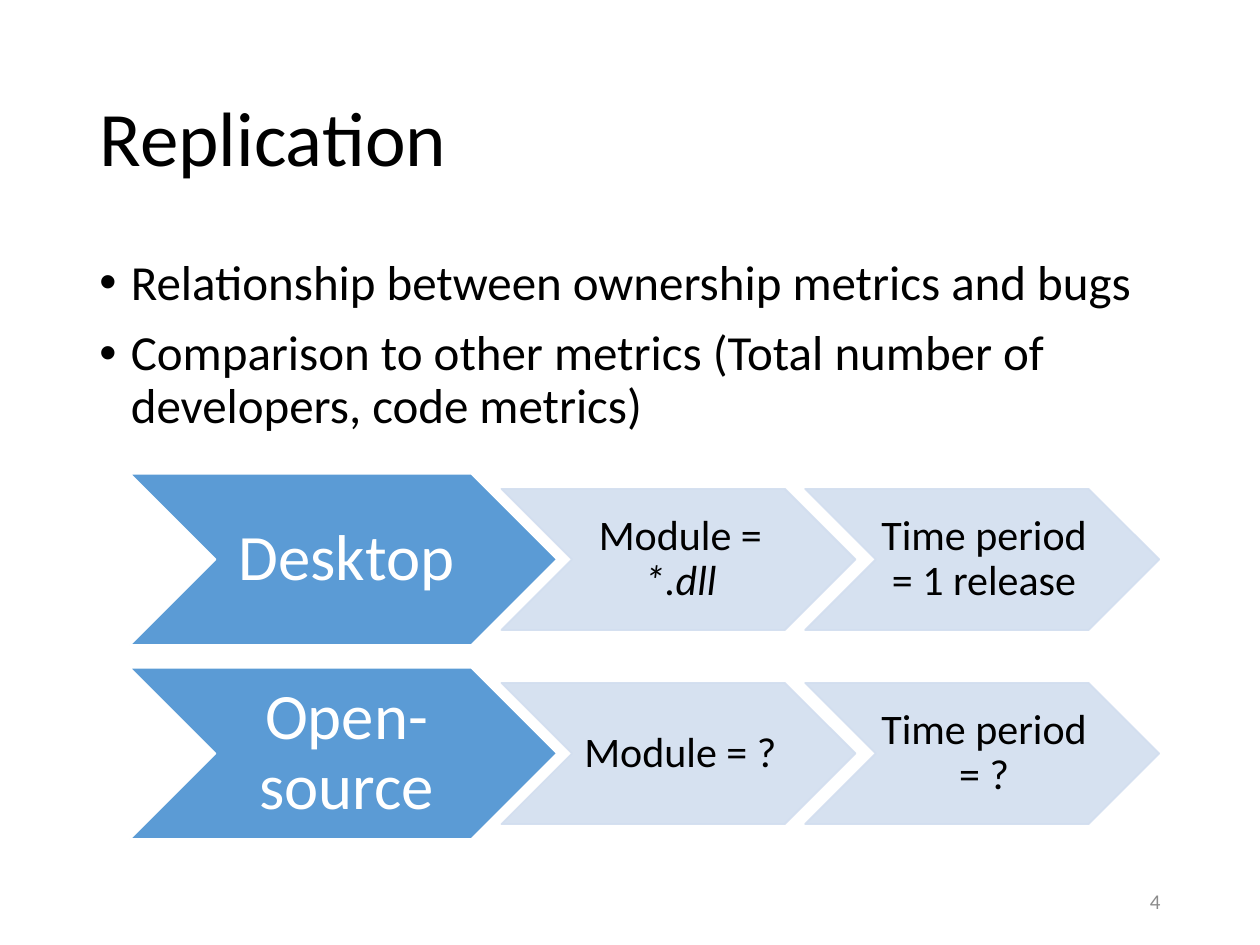
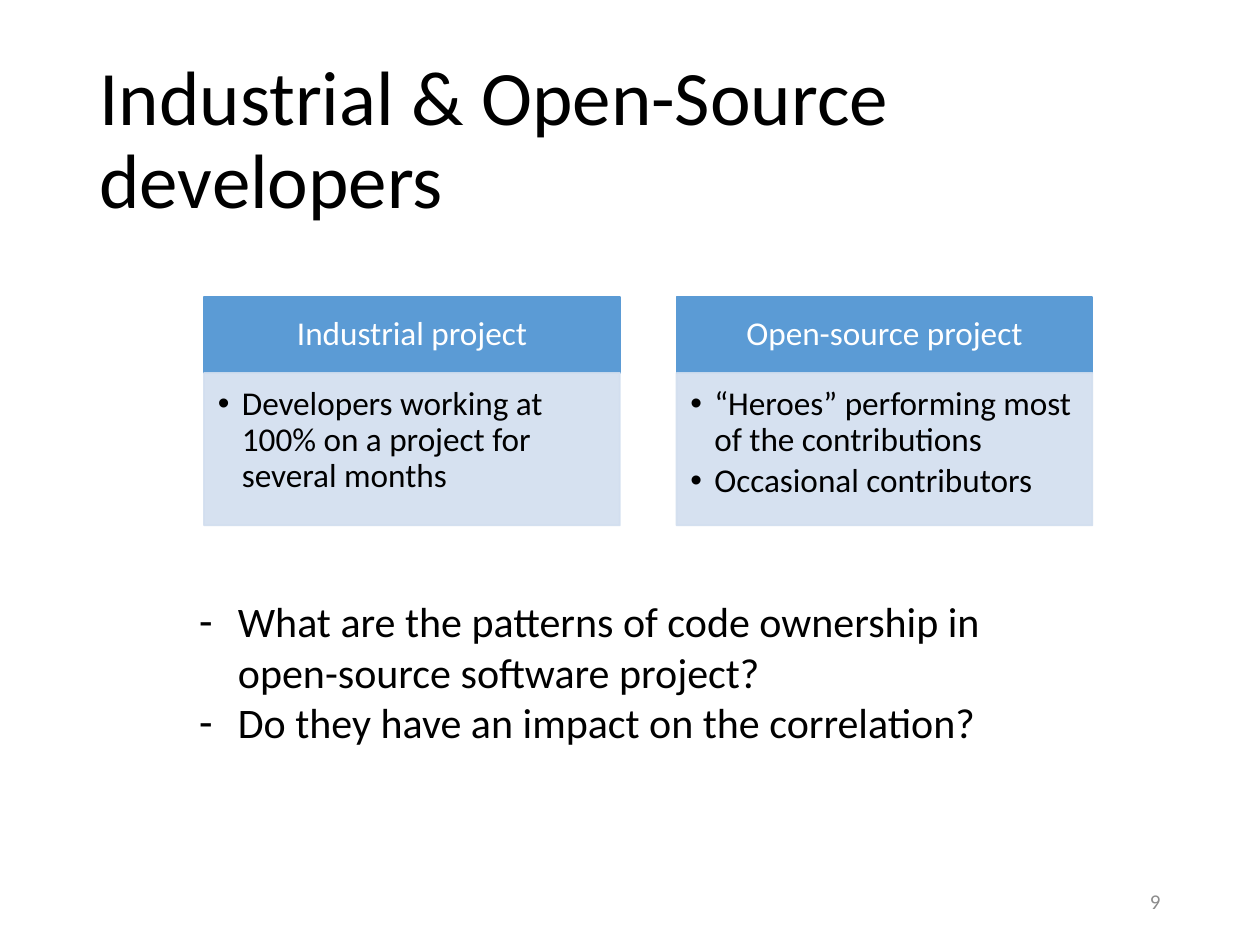
"""Builds two slides on replicating code ownership metrics in open-source projects."""
from lxml import etree
from pptx import Presentation
from pptx import util as u
from pptx.dml.color import RGBColor
from pptx.enum import shapes, text
from pptx.oxml import ns

BLACK = RGBColor(0x00, 0x00, 0x00)
WHITE = RGBColor(0xFF, 0xFF, 0xFF)
GREY = RGBColor(0x8C, 0x8C, 0x8C)
BLUE = RGBColor(0x5B, 0x9B, 0xD5)
PALE = RGBColor(0xD2, 0xDE, 0xEF)

CENTER = text.PP_ALIGN.CENTER
MIDDLE = text.MSO_ANCHOR.MIDDLE
CHEVRON = shapes.MSO_SHAPE.CHEVRON
RECTANGLE = shapes.MSO_SHAPE.RECTANGLE
DEFAULT_INSETS = (0.1, 0.05, 0.1, 0.05)


class Deck:
    """Holds the shared style and the current slide."""

    font = "Calibri"

    def __init__(self):
        self.presentation = Presentation()
        self.presentation.slide_width = u.Inches(10)
        self.presentation.slide_height = u.Inches(7.5)
        self.slide = None

    def new_slide(self, title, number):
        self.slide = self.presentation.slides.add_slide(self.presentation.slide_layouts[5])
        shape = self.slide.shapes.title
        shape.left, shape.top, shape.width, shape.height = map(u.Inches, (0.69, 0.4, 8.62, 1.45))
        self.fill_text(shape, [title], 44, spacing=0.9, anchor=MIDDLE)
        self.text_box((7.06, 6.95, 2.25, 0.4), [str(number)], 12, color=GREY,
                      align=text.PP_ALIGN.RIGHT, anchor=MIDDLE)

    def fill_text(self, shape, lines, size, color=BLACK, align=text.PP_ALIGN.LEFT,
                  anchor=text.MSO_ANCHOR.TOP, insets=DEFAULT_INSETS, spacing=1.0,
                  before=0, after=0, bullet=None, indent=0, italic_tail=""):
        left, top, right, bottom = map(u.Inches, insets)
        frame = shape.text_frame
        self.apply(frame, {"word_wrap": True, "auto_size": text.MSO_AUTO_SIZE.NONE,
                           "vertical_anchor": anchor, "margin_left": left, "margin_top": top,
                           "margin_right": right, "margin_bottom": bottom})
        for index, line in enumerate(lines):
            paragraph = frame.add_paragraph() if index else frame.paragraphs[0]
            self.apply(paragraph, {"alignment": align, "line_spacing": spacing,
                                   "space_before": u.Pt(before), "space_after": u.Pt(after)})
            for content, italic in ((line, False), (italic_tail, True)):
                if content:
                    run = paragraph.add_run()
                    run.text = content
                    self.apply(run.font, {"name": self.font, "size": u.Pt(size),
                                          "italic": italic})
                    run.font.color.rgb = color
            if bullet:
                self.add_bullet(paragraph, bullet, indent)

    def text_box(self, box, lines, size, **style):
        shape = self.slide.shapes.add_textbox(*map(u.Inches, box))
        self.fill_text(shape, lines, size, **style)

    def block(self, kind, box, lines, size, fill, outline, alpha=None, **style):
        shape = self.slide.shapes.add_shape(kind, *map(u.Inches, box))
        shape.shadow.inherit = False
        shape.line.width = u.Pt(1)
        shape.fill.solid()
        for color_format, color in ((shape.fill.fore_color, fill), (shape.line.color, outline)):
            color_format.rgb = color
        if alpha:
            for color in shape._element.spPr.iter(ns.qn("a:srgbClr")):
                etree.SubElement(color, ns.qn("a:alpha")).set("val", str(alpha * 1000))
        self.fill_text(shape, lines, size, **style)

    def strong_block(self, kind, box, lines, size, outline=BLUE, **style):
        self.block(kind, box, lines, size, BLUE, outline, color=WHITE,
                   align=CENTER, anchor=MIDDLE, spacing=0.9, **style)

    def pale_block(self, kind, box, lines, size, **style):
        self.block(kind, box, lines, size, PALE, PALE, alpha=90, spacing=0.9, **style)

    @staticmethod
    def apply(target, values):
        for name, value in values.items():
            setattr(target, name, value)

    @staticmethod
    def add_bullet(paragraph, character, indent):
        properties = paragraph._p.get_or_add_pPr()
        properties.set("marL", str(u.Inches(indent)))
        properties.set("indent", str(-u.Inches(indent)))
        font = etree.SubElement(properties, ns.qn("a:buFont"))
        font.set("typeface", "Arial")
        etree.SubElement(properties, ns.qn("a:buChar")).set("char", character)


def add_replication(deck):
    deck.new_slide("Replication", 4)
    deck.text_box((0.69, 2, 8.62, 1.7),
                  ["Relationship between ownership metrics and bugs",
                   "Comparison to other metrics (Total number of developers, code metrics)"],
                  28, spacing=0.9, before=10, bullet="•", indent=0.25)
    rows = [("Desktop", [("Module = ", "*.dll"), ("Time period = 1 release", "")]),
            ("Open-source", [("Module = ?", ""), ("Time period = ?", "")])]
    for row, (project, details) in enumerate(rows):
        top = 3.76 + 1.54 * row
        deck.strong_block(CHEVRON, (1.03, top, 3.39, 1.36), [project], 37, outline=WHITE,
                          insets=(0.05, 0.03, 0, 0.03))
        for column, (detail, italic_tail) in enumerate(details):
            deck.pale_block(CHEVRON, (3.98 + 2.41 * column, top + 0.12, 2.81, 1.12),
                            [detail], 24, italic_tail=italic_tail, align=CENTER,
                            anchor=MIDDLE, insets=(0.03, 0.02, 0, 0.02))


def add_developers(deck):
    deck.new_slide("Industrial & Open-Source developers", 9)
    projects = [("Industrial project",
                 ["Developers working at 100% on a project for several months"]),
                ("Open-source project",
                 ["“Heroes” performing most of the contributions", "Occasional contributors"])]
    for column, (project, traits) in enumerate(projects):
        left = 1.62 + 3.75 * column
        deck.strong_block(RECTANGLE, (left, 2.36, 3.3, 0.6), [project], 19,
                          insets=(0.15, 0.08, 0.15, 0.08))
        deck.pale_block(RECTANGLE, (left, 2.96, 3.3, 1.21), traits, 19, after=3,
                        bullet="•", indent=0.19, insets=(0.11, 0.11, 0.15, 0.17))
    deck.text_box((1.48, 4.68, 7.23, 1.31),
                  ["What are the patterns of code ownership in open-source software project?",
                   "Do they have an impact on the correlation?"],
                  24, bullet="-", indent=0.31)


def main():
    deck = Deck()
    add_replication(deck)
    add_developers(deck)
    deck.presentation.save("out.pptx")


if __name__ == "__main__":
    main()
